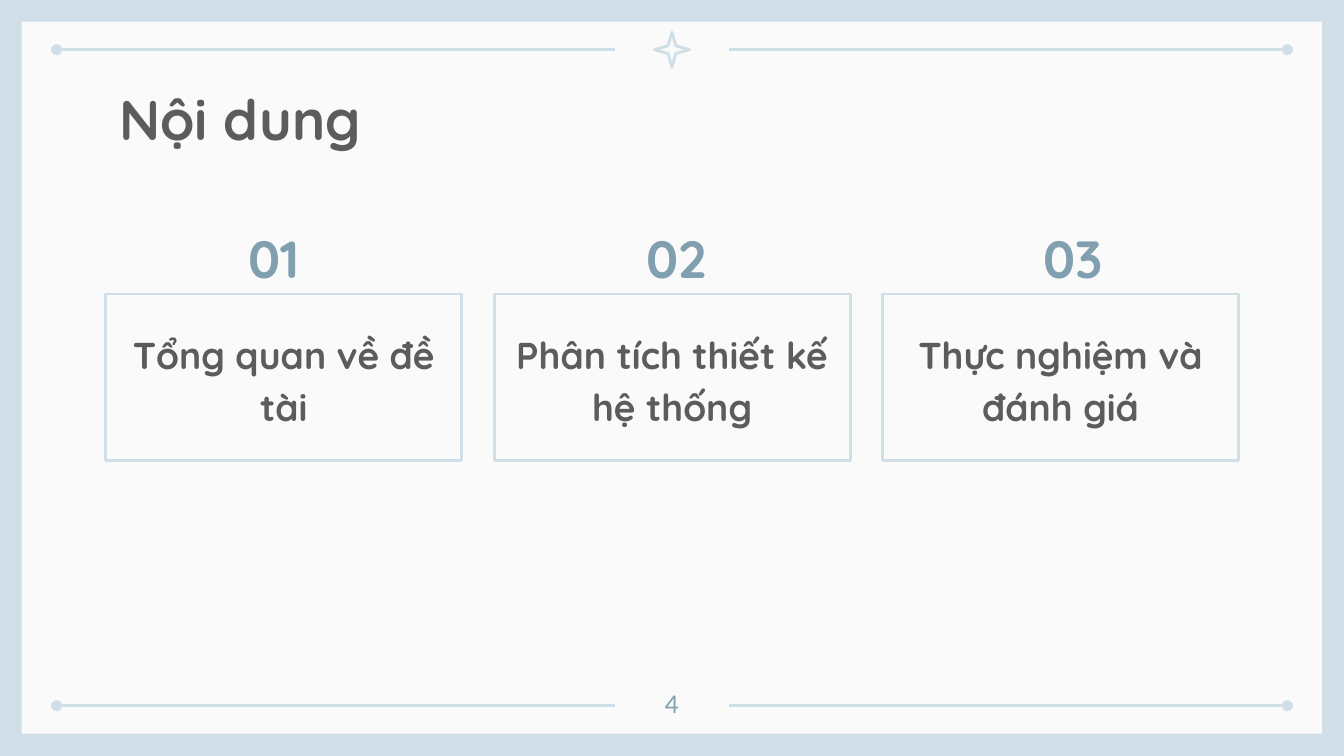
from dataclasses import dataclass
from itertools import product

from lxml.etree import SubElement
from pptx import Presentation
from pptx.dml.color import RGBColor
from pptx.enum.shapes import MSO_CONNECTOR, MSO_SHAPE
from pptx.enum.text import MSO_ANCHOR, MSO_AUTO_SIZE, PP_ALIGN
from pptx.oxml.ns import qn
from pptx.util import Cm, Pt


@dataclass
class Theme:
    pale: RGBColor = RGBColor.from_string("CFDEE7")
    paper: RGBColor = RGBColor.from_string("FAFAFA")
    ink: RGBColor = RGBColor.from_string("5C5C5F")
    blue: RGBColor = RGBColor.from_string("809FAF")
    head: Pt = Pt(30)
    mark: Pt = Pt(28)
    card: Pt = Pt(20)
    page: Pt = Pt(13)
    rule: Pt = Pt(1.5)


theme = Theme()
INSET = Cm(0.25)


def write(shape, text, size, color, align, anchor, name="Quicksand", bold=True, space=1.0):
    frame = shape.text_frame
    look = {
        "word_wrap": True,
        "auto_size": MSO_AUTO_SIZE.NONE,
        "vertical_anchor": anchor,
        "margin_left": INSET,
        "margin_right": INSET,
        "margin_top": INSET,
        "margin_bottom": INSET,
    }
    for key, value in look.items():
        setattr(frame, key, value)
    frame.text = text
    para = frame.paragraphs[0]
    para.alignment = align
    para.line_spacing = space
    font = para.runs[0].font
    for key, value in {"name": name, "size": size, "bold": bold}.items():
        setattr(font, key, value)
    font.color.rgb = color


def outline(shape):
    shape.line.color.rgb = theme.pale
    shape.line.width = theme.rule


deck = Presentation()
deck.slide_width, deck.slide_height = Cm(25.4), Cm(14.29)
slide = deck.slides.add_slide(deck.slide_layouts[5])
shapes = slide.shapes
slide.background.fill.solid()
slide.background.fill.fore_color.rgb = theme.pale

# Frame, rules and star
panel = shapes.add_shape(MSO_SHAPE.RECTANGLE, Cm(0.41), Cm(0.41), Cm(24.58), Cm(13.46))
panel.shadow.inherit = False
panel.fill.solid()
panel.fill.fore_color.rgb = theme.paper
panel.line.fill.background()

for y, (outer, inner) in product((0.94, 13.34), ((1.07, 11.63), (24.33, 13.77))):
    rule = shapes.add_connector(MSO_CONNECTOR.STRAIGHT, Cm(outer), Cm(y), Cm(inner), Cm(y))
    outline(rule)
    SubElement(rule.line._ln, qn("a:headEnd"), type="oval")
    SubElement(rule._element.spPr, qn("a:effectLst"))

star = shapes.add_shape(MSO_SHAPE.STAR_4_POINT, Cm(12.37), Cm(0.61), Cm(0.66), Cm(0.66))
star.adjustments[0] = 0.157
star.shadow.inherit = False
star.fill.background()
outline(star)

# Title
title = shapes.title
place = {"left": Cm(2), "top": Cm(1.35), "width": Cm(6.7), "height": Cm(1.6)}
for key, value in place.items():
    setattr(title, key, value)
shapes._spTree.append(title._element)
write(title, "Nội dung", theme.head, theme.ink, PP_ALIGN.LEFT, MSO_ANCHOR.TOP)

# Numbered cards
topics = ("Tổng quan về đề tài", "Phân tích thiết kế hệ thống", "Thực nghiệm và đánh giá")
for i, topic in enumerate(topics):
    mark = shapes.add_textbox(Cm(4.45 + 7.51 * i), Cm(4.17), Cm(1.83), Cm(1.22))
    write(mark, f"{i + 1:02}", theme.mark, theme.blue, PP_ALIGN.LEFT,
          MSO_ANCHOR.MIDDLE, space=1.15)

    card = shapes.add_shape(MSO_SHAPE.RECTANGLE, Cm(2 + 7.34 * i), Cm(5.56), Cm(6.73), Cm(3.15))
    card.shadow.inherit = False
    card.fill.background()
    outline(card)
    write(card, topic, theme.card, theme.ink, PP_ALIGN.CENTER, MSO_ANCHOR.MIDDLE, space=1.15)

# Page number
page = shapes.add_textbox(Cm(11.94), Cm(12.78), Cm(1.52), Cm(0.91))
write(page, "4", theme.page, theme.blue, PP_ALIGN.CENTER, MSO_ANCHOR.TOP,
      name="Lato", bold=False)

deck.save("out.pptx")
